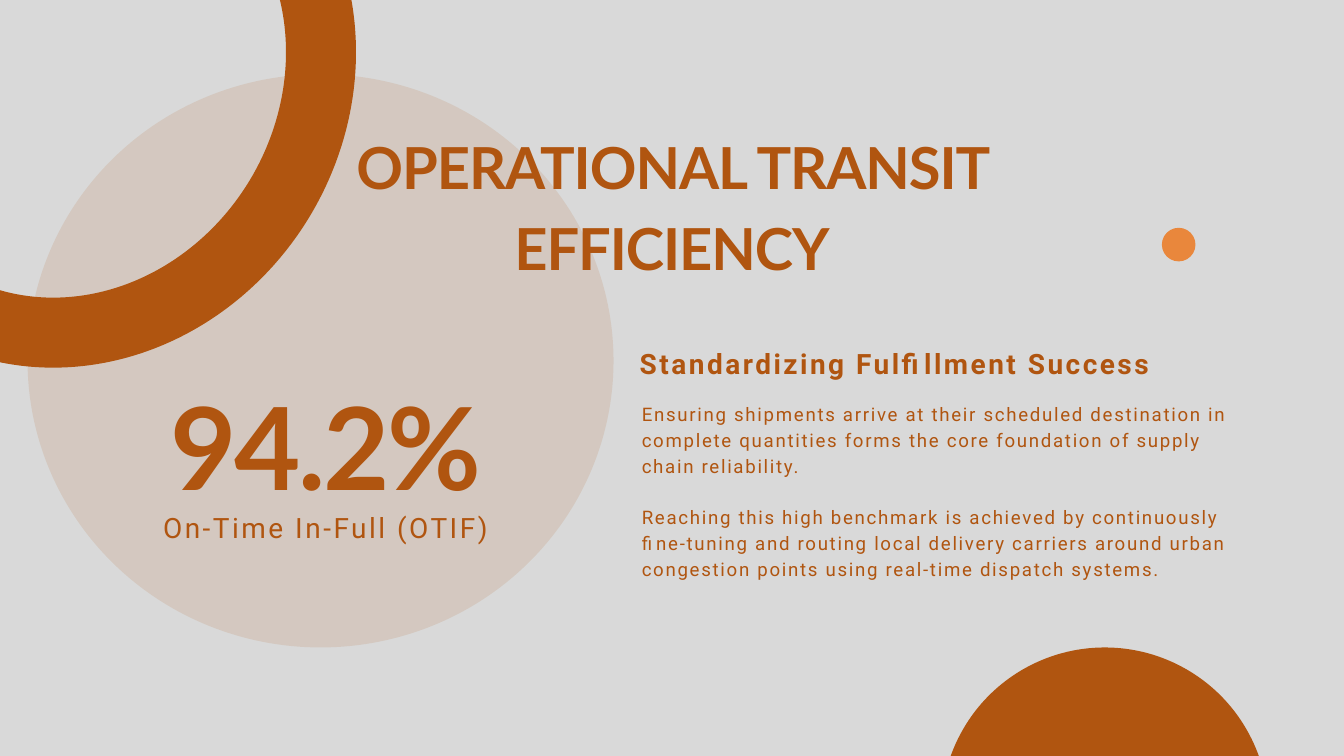
from dataclasses import dataclass
from lxml import etree
from pptx import Presentation
from pptx.dml.color import RGBColor
from pptx.enum.shapes import MSO_SHAPE
from pptx.enum.text import MSO_ANCHOR, MSO_AUTO_SIZE, PP_ALIGN
from pptx.oxml.ns import qn
from pptx.util import Inches, Pt

OVAL = MSO_SHAPE.OVAL
TOP, FIXED = MSO_ANCHOR.TOP, MSO_AUTO_SIZE.NONE
LEFT, MID, FULL = PP_ALIGN.LEFT, PP_ALIGN.CENTER, PP_ALIGN.JUSTIFY


@dataclass(frozen=True)
class Theme:
    paper: str = "D9D9D9"
    rust: str = "B05510"
    amber: str = "E9873C"
    head: str = "Lato"
    text: str = "Roboto"
    title: float = 62
    stat: float = 122.7
    label: float = 30
    body: float = 20
    ring: float = 75


T = Theme()
COLS, ROWS = 20, 11.25
CELL = Inches(1)

TITLE = ["OPERATIONAL TRANSIT EFFICIENCY"]
STAT = ["94.2%"]
LABEL = ["On-Time In-Full (OTIF)"]
HEAD = ["Standardizing Fulfillment Success"]
BODY = [
    "Ensuring shipments arrive at their scheduled destination in complete "
    "quantities forms the core foundation of supply chain reliability.",
    "Reaching this high benchmark is achieved by continuously fine-tuning and "
    "routing local delivery carriers around urban congestion points using "
    "real-time dispatch systems.",
]

DISCS = [
    dict(mid=(4.77, 5.37), size=(8.72, 8.53), fill=T.rust, alpha=12),
    dict(mid=(1.11, 1.11), size=(7.87, 7.13), line=T.rust, turn=301),
    dict(mid=(16.44, 12.07), size=(4.87, 4.87), fill=T.rust),
    dict(mid=(17.54, 3.64), size=(0.5, 0.5), fill=T.amber),
]

prs = Presentation()
prs.slide_width, prs.slide_height = int(COLS * CELL), int(ROWS * CELL)
slide = prs.slides.add_slide(prs.slide_layouts[1])
shapes = slide.shapes


def rgb(code):
    return RGBColor.from_string(code)


def grid(*cells):
    return [round(n * CELL) for n in cells]


def disc(mid, size, fill=None, line=None, alpha=None, turn=0):
    (x, y), (w, h) = mid, size
    shape = shapes.add_shape(OVAL, *grid(x - w / 2, y - h / 2, w, h))
    shape.shadow.inherit = False
    shape.rotation = turn
    if fill:
        shape.fill.solid()
        shape.fill.fore_color.rgb = rgb(fill)
    else:
        shape.fill.background()
    if line:
        shape.line.color.rgb = rgb(line)
        shape.line.width = Pt(T.ring)
    else:
        shape.line.fill.background()
    if alpha:
        tint = shape._element.spPr.find(".//" + qn("a:srgbClr"))
        etree.SubElement(tint, qn("a:alpha")).set("val", str(alpha * 1000))


def write(lines, area, size, font=T.text, bold=False, align=LEFT, track=0,
          lead=1.4, gap=0, box=None):
    if box is None:
        box = shapes.add_textbox(0, 0, 0, 0)
    box.left, box.top, box.width, box.height = grid(*area)
    shapes._spTree.append(box._element)
    frame = box.text_frame
    frame.word_wrap, frame.auto_size = True, FIXED
    frame.vertical_anchor = TOP
    frame.margin_left = frame.margin_right = 0
    frame.margin_top = frame.margin_bottom = 0
    for i, line in enumerate(lines):
        para = frame.paragraphs[0] if i == 0 else frame.add_paragraph()
        props = para._p.get_or_add_pPr()
        props.set("marL", "0")
        props.set("indent", "0")
        etree.SubElement(props, qn("a:buNone"))
        para.alignment = align
        para.line_spacing = Pt(size * lead)
        para.space_before = Pt(gap if i else 0)
        run = para.add_run()
        run.text = line
        run.font.name, run.font.size = font, Pt(size)
        run.font.bold = bold
        run.font.color.rgb = rgb(T.rust)
        run._r.get_or_add_rPr().set("spc", str(round(track * 100)))


slide.background.fill.solid()
slide.background.fill.fore_color.rgb = rgb(T.paper)
for item in DISCS:
    disc(**item)

write(TITLE, (3.17, 1.78, 13.66, 2.36), T.title, font=T.head, bold=True,
      align=MID, track=-1.2, box=shapes.title)
write(STAT, (1.8, 5.26, 6.11, 2.29), T.stat, font=T.head, bold=True,
      align=MID, track=-2.5)
write(HEAD, (9.52, 5.08, 7.91, 0.57), T.label, bold=True, align=FULL, track=2.7)
write(LABEL, (1.99, 7.51, 5.71, 0.57), T.label, align=MID, track=2.7)
write(BODY, (9.55, 5.94, 8.74, 2.68), T.body, track=1.8, gap=26,
      box=slide.placeholders[1])

prs.save("out.pptx")
